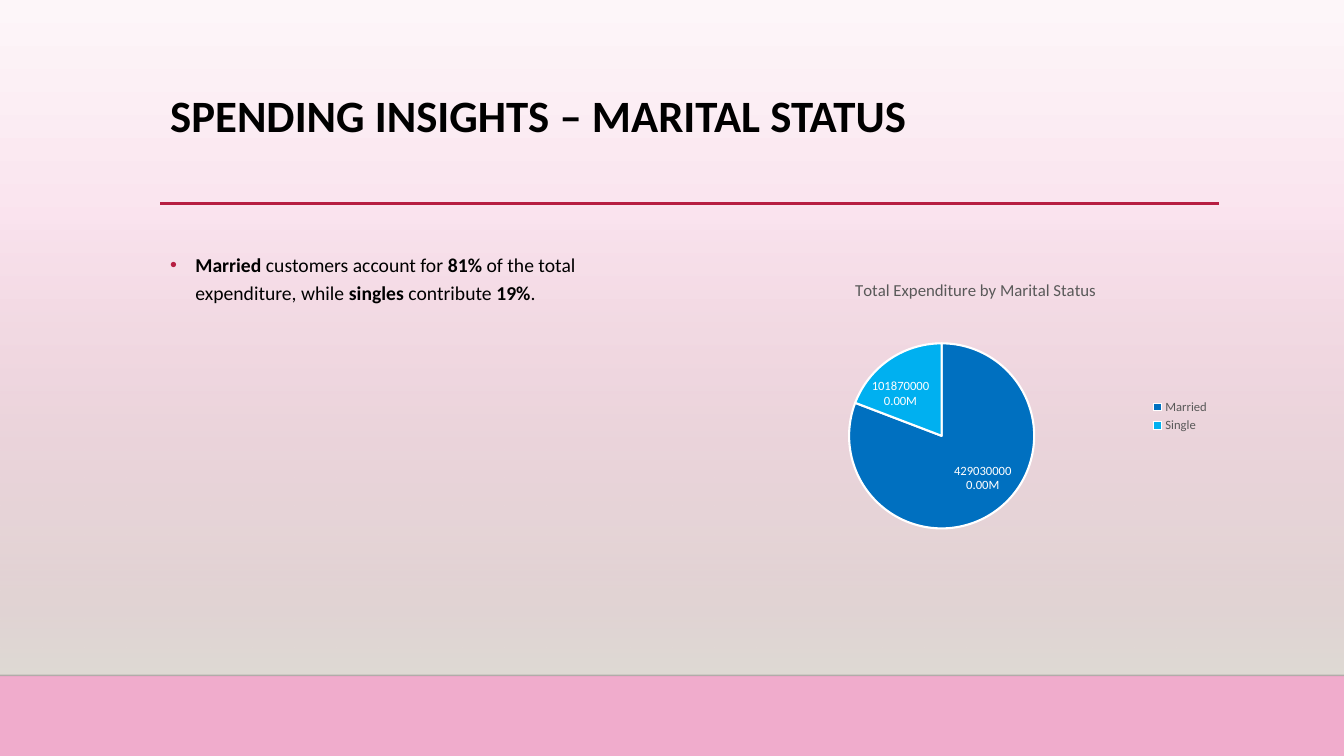
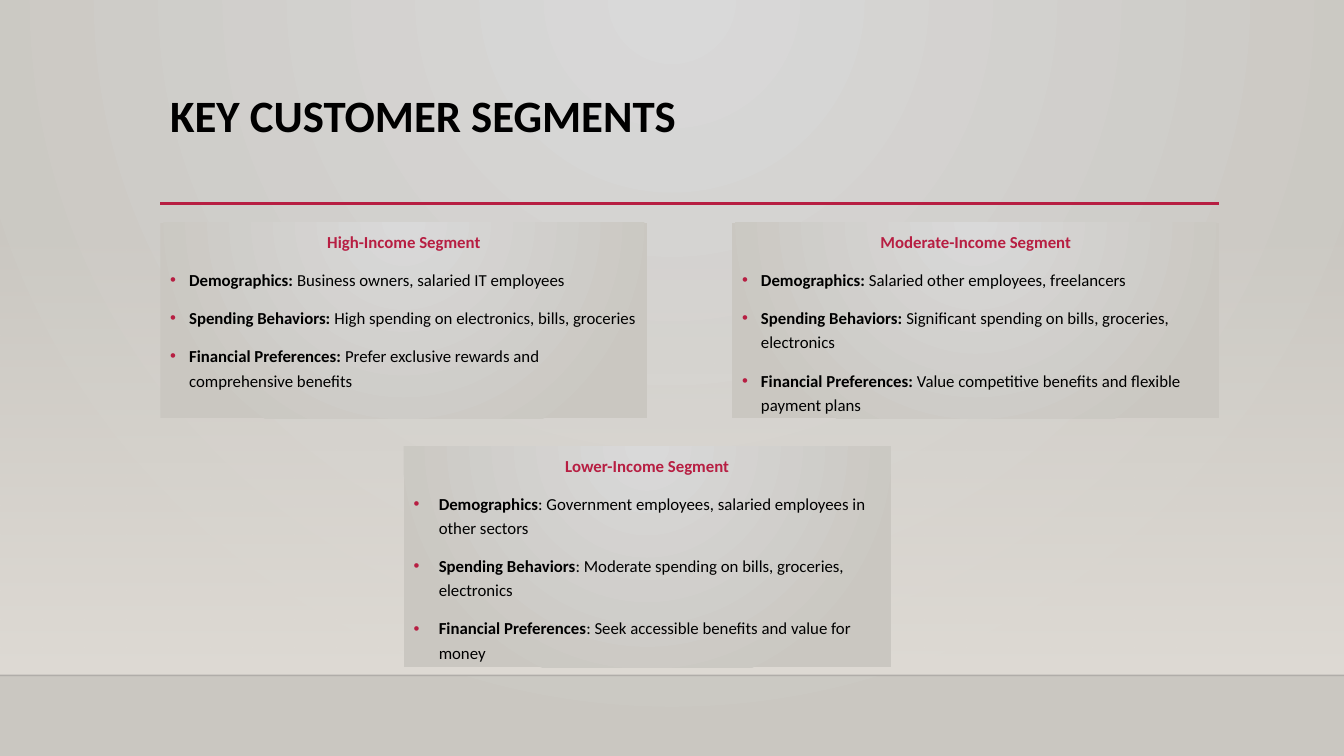
from lxml import etree
from pptx import Presentation
from pptx.chart import data as chart_data
from pptx.dml import color
from pptx.enum import chart as ch, shapes, text
from pptx.oxml import ns
from pptx.util import Pt

FONT = "Calibri"
BLACK, WHITE, GREY, CRIMSON = "000000", "FFFFFF", "595959", "B71E42"
PINK_STOPS = [(0, "FDF6F9"), (70, "F5C8DD"), (83, "F0ACCC"), (85, "F0ACCC")]
STONE_STOPS = [(0, "D9D9D9"), (100, "CAC7C1")]
SLIDE_W, SLIDE_H = 960, 540
LEFT, CONTENT_W = 114.5, 756.5
COLUMN_W = 348
RIGHT_COLUMN = LEFT + CONTENT_W - COLUMN_W
BAND_TOP, FLOOR = 159, 482.4


def rgb(code):
    return color.RGBColor.from_string(code)


def child(parent, tag, **attributes):
    node = etree.SubElement(parent, ns.qn(tag))
    for key, value in attributes.items():
        node.set(key, str(value))
    return node


def add_alpha(color_node, percent):
    child(color_node, "a:alpha", val=percent * 1000)


def paint_gradient(fill, holder, stops, radial=False):
    """Fill with (position, colour[, alpha]) stops, downwards or from the top centre."""
    fill.gradient()
    grad = holder.find(ns.qn("a:gradFill"))
    for old in list(grad):
        grad.remove(old)
    stop_list = child(grad, "a:gsLst")
    for position, code, *alpha in stops:
        stop = child(stop_list, "a:gs", pos=position * 1000)
        stop_color = child(stop, "a:srgbClr", val=code)
        if alpha:
            add_alpha(stop_color, alpha[0])
    if radial:
        route = child(grad, "a:path", path="circle")
        child(route, "a:fillToRect", l=43000, t=0, r=43000, b=100000)
    else:
        child(grad, "a:lin", ang=5400000, scaled=0)


def add_panel(slide, box, stops, radial=False):
    panel = slide.shapes.add_shape(shapes.MSO_SHAPE.RECTANGLE, *map(Pt, box))
    panel.shadow.inherit = False
    panel.line.fill.background()
    paint_gradient(panel.fill, panel.element.spPr, stops, radial)
    return panel


def add_rule(slide, x, y, width, code, weight, alpha=None):
    rule = slide.shapes.add_connector(
        shapes.MSO_CONNECTOR.STRAIGHT, Pt(x), Pt(y), Pt(x + width), Pt(y))
    rule.line.color.rgb = rgb(code)
    rule.line.width = Pt(weight)
    if alpha:
        add_alpha(rule.element.spPr.find(".//" + ns.qn("a:srgbClr")), alpha)
    child(rule.element.spPr, "a:effectLst")


def style_font(font, size, code, bold=False):
    font.name, font.size, font.bold = FONT, Pt(size), bold
    font.color.rgb = rgb(code)


def prepare_frame(shape):
    frame = shape.text_frame
    frame.word_wrap = True
    frame.vertical_anchor = text.MSO_ANCHOR.TOP
    return frame


def write_runs(paragraph, runs, size, code=BLACK):
    """Write (words, bold) runs."""
    for words, bold in runs:
        run = paragraph.add_run()
        run.text = words
        style_font(run.font, size, code, bold)


def space_body(paragraph):
    paragraph.line_spacing = 1.2
    paragraph.space_before = Pt(10)


def make_bullet(paragraph, indent):
    paragraph.alignment = text.PP_ALIGN.LEFT
    space_body(paragraph)
    properties = paragraph._p.get_or_add_pPr()
    properties.set("marL", str(Pt(indent)))
    properties.set("indent", str(-Pt(indent)))
    child(child(properties, "a:buClr"), "a:srgbClr", val=CRIMSON)
    child(properties, "a:buFont", typeface="Arial")
    child(properties, "a:buChar", char="•")


def add_base_slide(deck, title, stops, radial=False):
    """Blank slide with the shared background, floor line, rule and title."""
    slide = deck.slides.add_slide(deck.slide_layouts[6])
    fill = slide.background.fill
    paint_gradient(fill, slide.element.find(".//" + ns.qn("p:bgPr")), stops, radial)
    add_panel(slide, (0, BAND_TOP, SLIDE_W, FLOOR - BAND_TOP),
              [(0, "DFDBD5", 0), (100, "DFDBD5", 100)])
    add_rule(slide, 0, FLOOR, SLIDE_W, "000001", 1, alpha=20)
    add_rule(slide, LEFT, 145.2, CONTENT_W, CRIMSON, 2.5)
    heading = slide.shapes.add_textbox(*map(Pt, (LEFT, 63.4, CONTENT_W, 82.6)))
    paragraph = prepare_frame(heading).paragraphs[0]
    paragraph.line_spacing = 0.9
    write_runs(paragraph, [(title, True)], 32)
    return slide


def add_finding(slide, box, runs):
    finding = slide.shapes.add_textbox(*map(Pt, box))
    paragraph = prepare_frame(finding).paragraphs[0]
    make_bullet(paragraph, 18)
    write_runs(paragraph, runs, 14)


def place_plot(chart, x, y, w, h):
    """Fix the inner plot area, in fractions of the chart."""
    plot_area = chart._chartSpace.chart.plotArea
    for old in plot_area.findall(ns.qn("c:layout")):
        plot_area.remove(old)
    layout = etree.Element(ns.qn("c:layout"))
    plot_area.insert(0, layout)
    manual = child(layout, "c:manualLayout")
    for tag, value in (("layoutTarget", "inner"), ("xMode", "edge"), ("yMode", "edge"),
                       ("x", x), ("y", y), ("w", w), ("h", h)):
        child(manual, "c:" + tag, val=value)


def add_expenditure_pie(slide, box):
    expenditure = chart_data.CategoryChartData()
    expenditure.categories = ["Married", "Single"]
    expenditure.add_series("Series 1", (429030000, 101870000))
    chart = slide.shapes.add_chart(
        ch.XL_CHART_TYPE.PIE, *map(Pt, box), expenditure).chart
    style_font(chart.font, 10, BLACK)

    chart.has_title = True
    title = chart.chart_title
    title.include_in_layout = False
    write_runs(title.text_frame.paragraphs[0],
               [("Total Expenditure by Marital Status", False)], 12, GREY)
    chart.has_legend = True
    chart.legend.position = ch.XL_LEGEND_POSITION.RIGHT
    chart.legend.include_in_layout = False
    style_font(chart.legend.font, 9, GREY)
    place_plot(chart, 0.24, 0.26, 0.38, 0.61)

    plot = chart.plots[0]
    plot.vary_by_categories = True
    for index, code in enumerate(("0070C0", "00B0F0")):
        slice_format = plot.series[0].points[index].format
        slice_format.fill.solid()
        slice_format.fill.fore_color.rgb = rgb(code)
        slice_format.line.color.rgb = rgb(WHITE)
        slice_format.line.width = Pt(1.5)

    labels = plot.series[0].data_labels
    labels.show_value = labels.show_percentage = True
    labels.number_format = '0.00,,"M"'
    labels.number_format_is_linked = False
    labels.position = ch.XL_LABEL_POSITION.BEST_FIT
    style_font(labels.font, 9, WHITE)
    separator = etree.Element(ns.qn("c:separator"))
    separator.text = "\n"
    labels._element.find(ns.qn("c:showBubbleSize")).addnext(separator)


def add_segment(slide, box, name, facts, indent=13.5, joint_bold=True):
    """Segment card; joint_bold sets the colon in the weight of the label."""
    frame = prepare_frame(add_panel(slide, box, STONE_STOPS, radial=True))
    header = frame.paragraphs[0]
    header.alignment = text.PP_ALIGN.CENTER
    space_body(header)
    write_runs(header, [(name, True)], 12, CRIMSON)
    topics = ("Demographics", "Spending Behaviors", "Financial Preferences")
    for topic, fact in zip(topics, facts):
        paragraph = frame.add_paragraph()
        make_bullet(paragraph, indent)
        write_runs(paragraph, [(topic, True), (": ", joint_bold), (fact, False)], 12)


def build_spending(deck):
    slide = add_base_slide(deck, "SPENDING INSIGHTS – MARITAL STATUS", PINK_STOPS)
    add_finding(slide, (LEFT, 173.5, COLUMN_W, 53.3), [
        ("Married", True), (" customers account for ", False), ("81%", True),
        (" of the total expenditure, while ", False), ("singles", True),
        (" contribute ", False), ("19%", True), (".", False)])
    add_expenditure_pie(slide, (RIGHT_COLUMN, 188.6, COLUMN_W, 217.4))


def build_segments(deck):
    slide = add_base_slide(deck, "KEY CUSTOMER SEGMENTS", STONE_STOPS, radial=True)
    add_segment(slide, (LEFT, BAND_TOP, COLUMN_W, 139.7), "High-Income Segment", (
        "Business owners, salaried IT employees",
        "High spending on electronics, bills, groceries",
        "Prefer exclusive rewards and comprehensive benefits"))
    add_segment(slide, (RIGHT_COLUMN, BAND_TOP, COLUMN_W, 139.7),
                "Moderate-Income Segment", (
        "Salaried other employees, freelancers",
        "Significant spending on bills, groceries, electronics",
        "Value competitive benefits and flexible payment plans"))
    add_segment(slide, (288.3, 318.8, COLUMN_W, 157.7), "Lower-Income Segment", (
        "Government employees, salaried employees in other sectors",
        "Moderate spending on bills, groceries, electronics",
        "Seek accessible benefits and value for money"), indent=18, joint_bold=False)


def main():
    deck = Presentation()
    deck.slide_width, deck.slide_height = Pt(SLIDE_W), Pt(SLIDE_H)
    build_spending(deck)
    build_segments(deck)
    deck.save("out.pptx")


if __name__ == "__main__":
    main()
